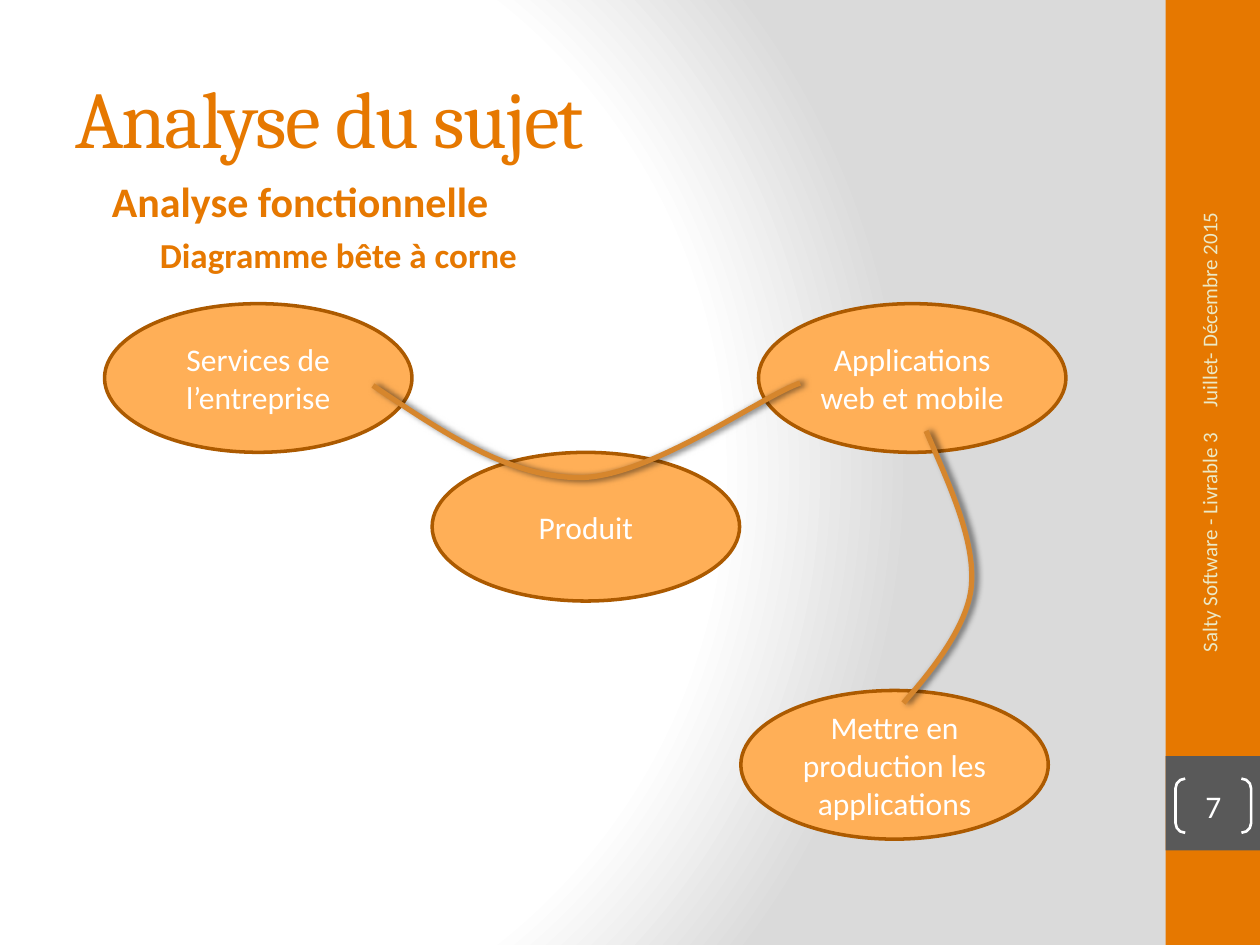
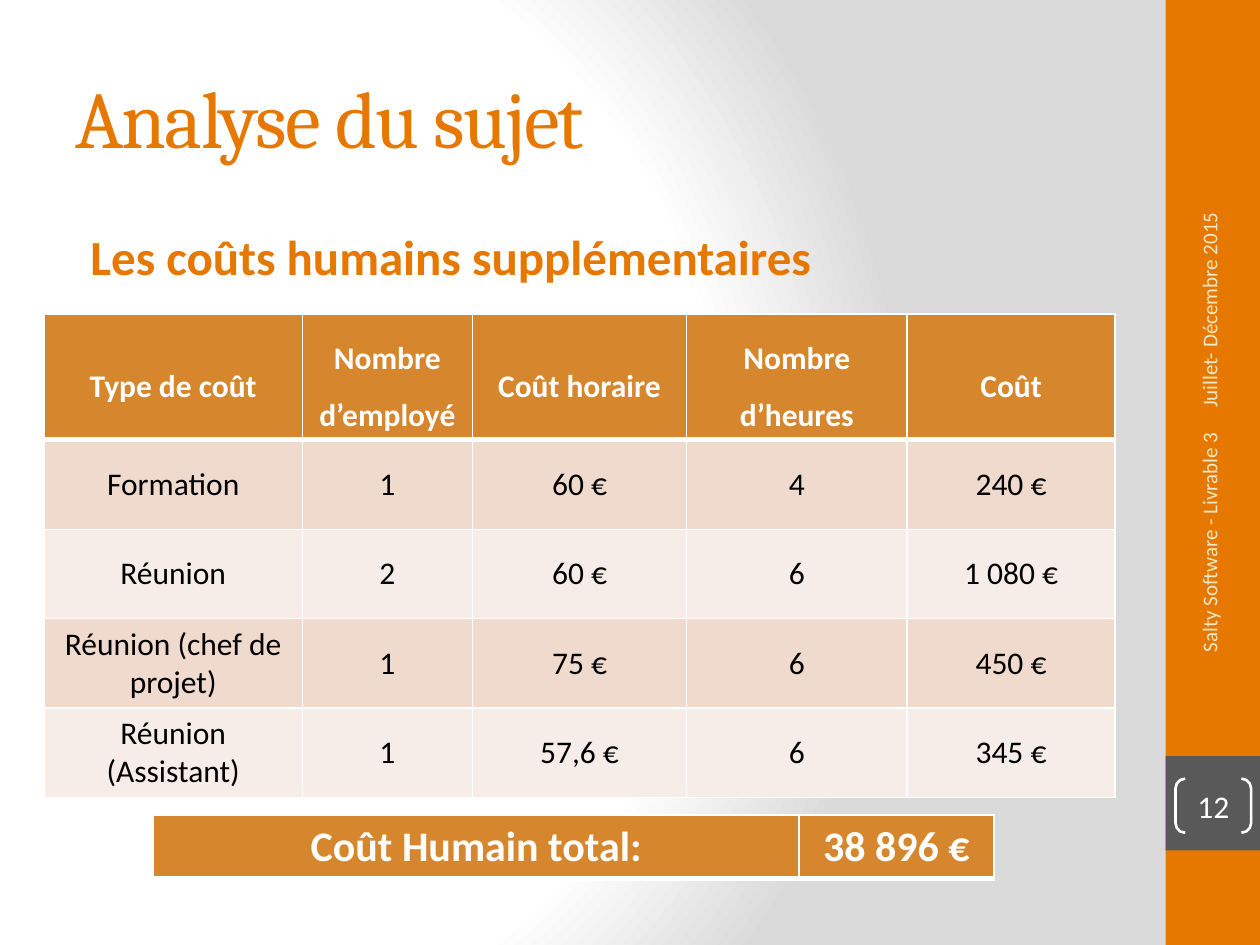
import pptx
import pptx.util
import pptx.dml.color
import pptx.enum.shapes
import pptx.enum.text
import pptx.oxml
import pptx.oxml.ns

Inches = pptx.util.Inches
Pt = pptx.util.Pt
ALIGN = pptx.enum.text.PP_ALIGN
ANCHOR = pptx.enum.text.MSO_ANCHOR
SHAPE = pptx.enum.shapes.MSO_SHAPE

ORANGE = "E67800"
DARK_ORANGE = "AC5A00"
LIGHT_ORANGE = "FFAF57"
COPPER = "D6862D"
GREY = "595959"
CREAM = "ECE9C6"
WHITE = "FFFFFF"
BLACK = "000000"
ROW_FILLS = ("F0D9CD", "F7EDE8")
NAMESPACE = pptx.oxml.ns.nsdecls("a")

BAND = (9.25, 0, 0.75, 7.5)
TITLE = (0.5, 0.3, 8.33, 1.25)


def rgb(value):
    return pptx.dml.color.RGBColor.from_string(value)


def inches(box):
    return [Inches(length) for length in box]


def write(frame, text, size=18, color=WHITE, font="Calibri", bold=False, align=ALIGN.LEFT,
          anchor=ANCHOR.TOP, indent=0, before=0, line_spacing=None, tracking=None):
    """Fill a text frame or table cell frame with one formatted paragraph."""
    frame.word_wrap = True
    frame.vertical_anchor = anchor
    paragraph = frame.paragraphs[0]
    paragraph.alignment = align
    paragraph.space_before = Pt(before)
    if line_spacing:
        paragraph.line_spacing = line_spacing
    if indent:
        paragraph._p.get_or_add_pPr().set("marL", str(Inches(indent)))
    run = paragraph.add_run()
    run.text = text
    run.font.size = Pt(size)
    run.font.name = font
    run.font.bold = bold
    run.font.color.rgb = rgb(color)
    if tracking:
        run._r.get_or_add_rPr().set("spc", str(int(tracking * 100)))


def add_text(slide, box, text, rotation=0, **style):
    shape = slide.shapes.add_textbox(*inches(box))
    shape.rotation = rotation
    write(shape.text_frame, text, **style)


def add_shape(slide, preset, box, fill=None, line=None, width=1):
    shape = slide.shapes.add_shape(preset, *inches(box))
    shape.shadow.inherit = False
    if fill:
        shape.fill.solid()
        shape.fill.fore_color.rgb = rgb(fill)
    else:
        shape.fill.background()
    if line:
        shape.line.color.rgb = rgb(line)
        shape.line.width = Pt(width)
    else:
        shape.line.fill.background()
    return shape


def add_heading(slide, box, text, size):
    add_text(slide, box, text, size=size, color=ORANGE, bold=True,
             indent=0.12, before=size * 0.2)


def paint_background(slide):
    """Radial gradient, white fading to grey on the right."""
    slide.background.fill.gradient()
    gradient = slide.element.xpath(".//p:bgPr/a:gradFill")[0]
    stops = "".join(
        f'<a:gs pos="{position * 1000}"><a:srgbClr val="{color}"/></a:gs>'
        for position, color in ((0, WHITE), (75, WHITE), (100, "DADADA")))
    gradient.getparent().replace(gradient, pptx.oxml.parse_xml(
        f'<a:gradFill {NAMESPACE} rotWithShape="1"><a:gsLst>{stops}</a:gsLst>'
        '<a:path path="circle"><a:fillToRect l="20000" t="50000" r="100000" b="50000"/>'
        '</a:path></a:gradFill>'))


def add_side_band(slide, box, number):
    """Vertical band with the date, the footer and the slide number."""
    left, top, width, height = box
    add_shape(slide, SHAPE.RECTANGLE, box, fill=ORANGE)
    add_shape(slide, SHAPE.RECTANGLE, (left, top + 6, width, width), fill=GREY)
    # Footers, turned to read upwards
    footer = dict(rotation=270, size=12, color=CREAM, anchor=ANCHOR.MIDDLE)
    add_text(slide, (left - 0.99, top + 1.8, 2.67, 0.4), "Juillet- Décembre 2015", **footer)
    add_text(slide, (left - 0.95, top + 4.43, 2.59, 0.4), "Salty Software - Livrable 3",
             align=ALIGN.RIGHT, **footer)
    # Slide number in brackets
    bracket = add_shape(slide, SHAPE.DOUBLE_BRACKET, (left + 0.08, top + 6.18, 0.6, 0.43),
                        line=WHITE, width=1.5)
    bracket.adjustments[0] = 0.179
    frame = bracket.text_frame
    frame.margin_left = frame.margin_right = frame.margin_top = frame.margin_bottom = 0
    write(frame, str(number), align=ALIGN.CENTER, anchor=ANCHOR.MIDDLE)


def start_slide(presentation, number):
    slide = presentation.slides.add_slide(presentation.slide_layouts[6])
    paint_background(slide)
    add_side_band(slide, BAND, number)
    add_text(slide, TITLE, "Analyse du sujet", size=46, color=ORANGE, font="Cambria",
             anchor=ANCHOR.MIDDLE, tracking=-1)
    return slide


def add_curve(slide, origin, points):
    """Shadowed curve through a start point and triples of Bezier points."""
    left, top = origin
    points = [(Inches(left + x), Inches(top + y)) for x, y in points]
    builder = slide.shapes.build_freeform(*points[0])
    builder.add_line_segments(points[1:], close=False)
    shape = builder.convert_to_shape()
    # Turn each three line segments into one Bezier segment
    outline = shape._element.xpath(".//a:path")[0]
    segments = outline.xpath("./a:lnTo")
    for start in range(0, len(segments), 3):
        bezier = pptx.oxml.parse_xml(f"<a:cubicBezTo {NAMESPACE}/>")
        outline.append(bezier)
        for segment in segments[start:start + 3]:
            bezier.append(segment[0])
            outline.remove(segment)
    shape.fill.background()
    shape.line.color.rgb = rgb(COPPER)
    shape.line.width = Pt(3)
    shape.shadow.inherit = False
    effects = shape._element.spPr.find(pptx.oxml.ns.qn("a:effectLst"))
    effects.append(pptx.oxml.parse_xml(
        f'<a:outerShdw {NAMESPACE} blurRad="{Pt(4)}" dist="{Pt(2)}" dir="0" rotWithShape="0">'
        f'<a:srgbClr val="{BLACK}"><a:alpha val="60000"/></a:srgbClr></a:outerShdw>'))


def add_horned_beast(slide, box):
    """Four ellipses joined by two curves."""
    left, top = box[:2]
    ellipses = (
        (0, 0, "Services de l’entreprise"),
        (5.19, 0, "Applications web et mobile"),
        (2.6, 1.18, "Produit"),
        (5.05, 3.07, "Mettre en production les applications"),
    )
    for x, y, text in ellipses:
        ellipse = add_shape(slide, SHAPE.OVAL, (left + x, top + y, 2.44, 1.18),
                            fill=LIGHT_ORANGE, line=DARK_ORANGE, width=2)
        write(ellipse.text_frame, text, align=ALIGN.CENTER, anchor=ANCHOR.MIDDLE)
    # Services to applications, past the product
    add_curve(slide, (left, top), [(2.13, 0.65), (2.67, 1.01), (3.2, 1.38), (3.77, 1.38),
                                   (4.33, 1.38), (5.22, 0.73), (5.52, 0.63)])
    # Applications to their purpose
    add_curve(slide, (left, top), [(6.52, 1.01), (6.71, 1.45), (6.91, 1.88), (6.88, 2.24),
                                   (6.85, 2.6), (6.47, 3.02), (6.34, 3.17)])


def style_cell(cell, text, fill, bottom=1, **style):
    properties = cell._tc.get_or_add_tcPr()
    for side, width in (("L", 1), ("R", 1), ("T", 1), ("B", bottom)):
        properties.append(pptx.oxml.parse_xml(
            f'<a:ln{side} {NAMESPACE} w="{Pt(width)}"><a:solidFill>'
            f'<a:srgbClr val="{WHITE}"/></a:solidFill></a:ln{side}>'))
    cell.fill.solid()
    cell.fill.fore_color.rgb = rgb(fill)
    write(cell.text_frame, text, align=ALIGN.CENTER, **style)
    cell.vertical_anchor = style.get("anchor", ANCHOR.TOP)


def add_table(slide, box, columns, heights):
    table = slide.shapes.add_table(len(heights), len(columns), *inches(box)).table
    table.first_row = table.horz_banding = False
    for column, width in zip(table.columns, columns):
        column.width = Inches(width)
    for row, height in zip(table.rows, heights):
        row.height = Inches(height)
    return table


def add_cost_table(slide, box):
    rows = (
        ("Type de coût", "Nombre d’employé", "Coût horaire", "Nombre d’heures", "Coût"),
        ("Formation", "1", "60 €", "4", "240 €"),
        ("Réunion", "2", "60 €", "6", "1 080 €"),
        ("Réunion (chef de projet)", "1", "75 €", "6", "450 €"),
        ("Réunion (Assistant)", "1", "57,6 €", "6", "345 €"),
    )
    table = add_table(slide, box, (2.05, 1.35, 1.7, 1.75, 1.65), [1] + [0.71] * 4)
    for row, texts in enumerate(rows):
        for column, text in enumerate(texts):
            cell = table.cell(row, column)
            if row == 0:
                style_cell(cell, text, COPPER, bottom=3, bold=True, line_spacing=1.5,
                           anchor=ANCHOR.MIDDLE)
            else:
                style_cell(cell, text, ROW_FILLS[(row - 1) % 2], color=BLACK,
                           anchor=ANCHOR.MIDDLE)


def add_total(slide, box):
    table = add_table(slide, box, (5.12, 1.55), [box[3]])
    for column, text in enumerate(("Coût Humain total:", "38 896 €")):
        style_cell(table.cell(0, column), text, COPPER, bottom=3, size=24, bold=True)


def build_diagram_slide(presentation):
    slide = start_slide(presentation, 7)
    add_heading(slide, (1.05, 1.8, 8.33, 5.25), "Diagramme bête à corne", 20)
    add_horned_beast(slide, (0.83, 2.41, 7.63, 4.25))
    add_heading(slide, (0.67, 1.34, 4.32, 0.94), "Analyse fonctionnelle", 24)


def build_cost_slide(presentation):
    slide = start_slide(presentation, 12)
    add_heading(slide, (0.5, 1.75, 8.33, 5.25), "Les coûts humains supplémentaires", 28)
    add_cost_table(slide, (0.35, 2.49, 8.5, 3.84))
    add_total(slide, (1.22, 6.47, 6.67, 0.5))


presentation = pptx.Presentation()
presentation.slide_width = Inches(10)
presentation.slide_height = Inches(7.5)
build_diagram_slide(presentation)
build_cost_slide(presentation)
presentation.save("out.pptx")
